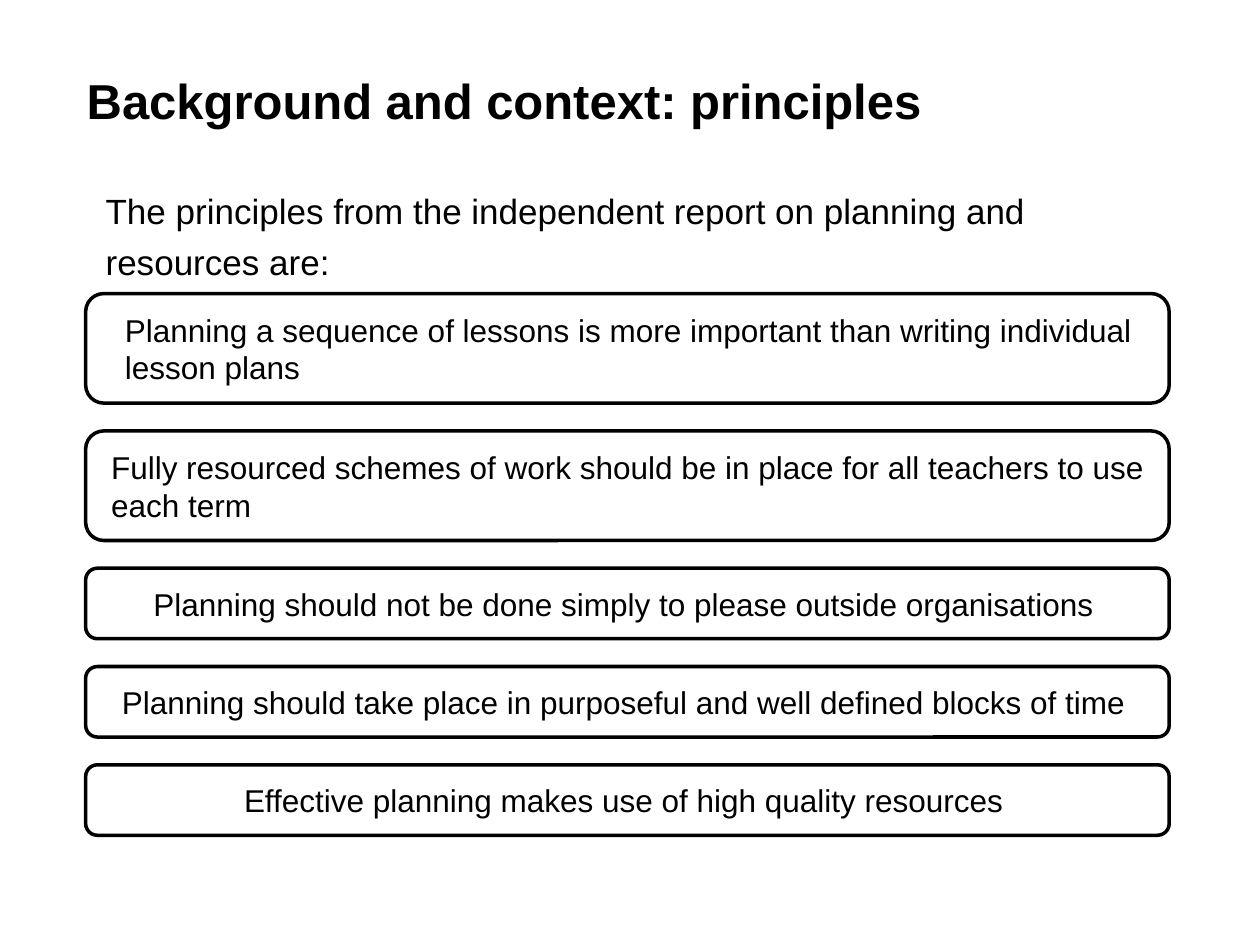
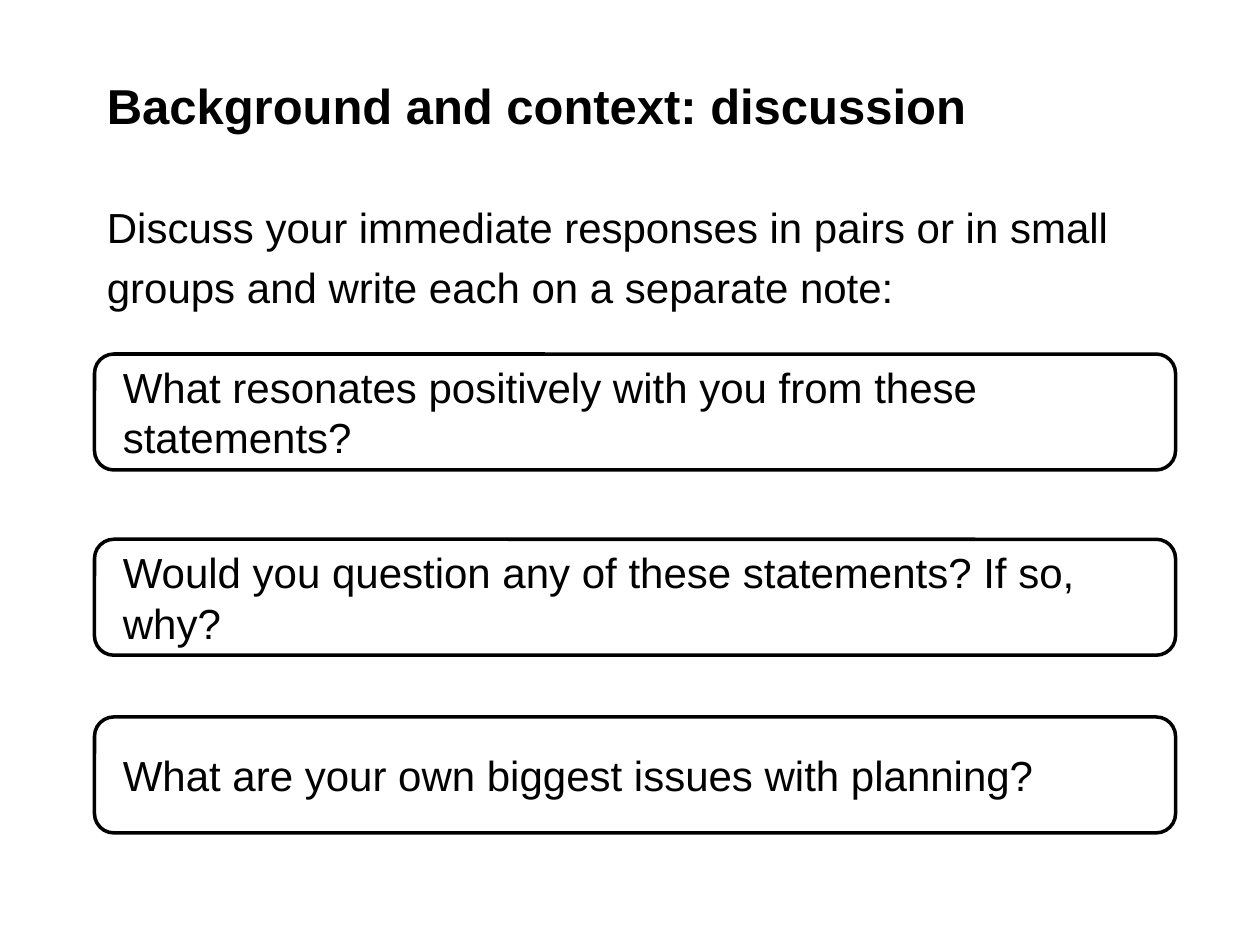
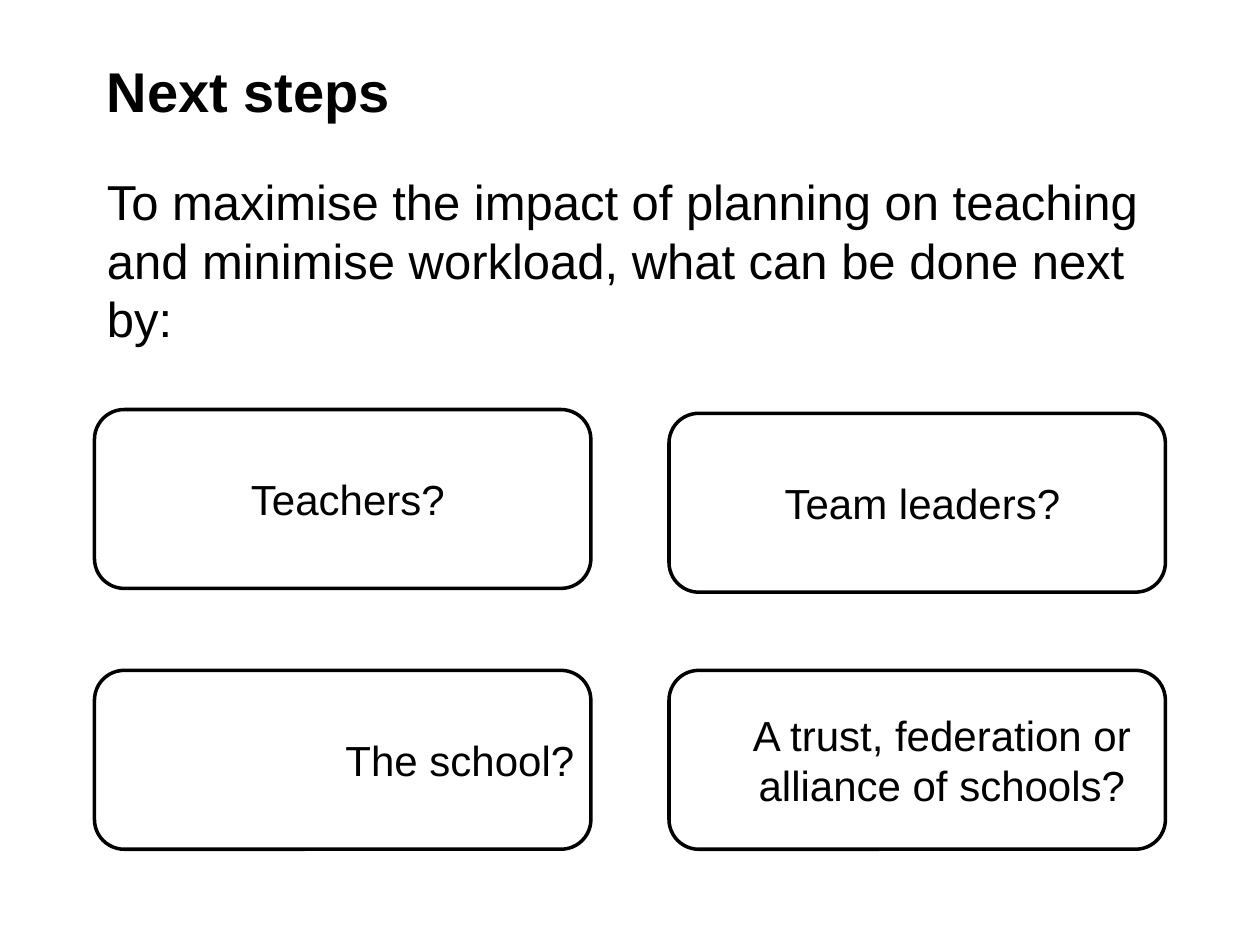
from pptx import Presentation
from pptx.dml.color import RGBColor
from pptx.enum.shapes import MSO_SHAPE
from pptx.enum.text import MSO_ANCHOR, PP_ALIGN
from pptx.util import Inches, Pt

BLACK = RGBColor(0, 0, 0)
FONT = "Arial"
ROUND = MSO_SHAPE.ROUNDED_RECTANGLE
TOP, MIDDLE = MSO_ANCHOR.TOP, MSO_ANCHOR.MIDDLE
LEFT, CENTER = PP_ALIGN.LEFT, PP_ALIGN.CENTER
WIDE = 8.5
INSET = 0.1

# Heading and lead text: (wording, left, top, height, size)
PRINCIPLES_HEAD = ("Background and context: principles", 0.59, 0.44, 0.71, 28)
PRINCIPLES_LEAD = ("The principles from the independent report on planning and "
                   "resources are:", 0.74, 1.39, 0.94, 20)
TALK_HEAD = ("Background and context: discussion", 0.75, 0.36, 0.94, 28)
TALK_LEAD = ("Discuss your immediate responses in pairs or in small groups and "
             "write each on a separate note:", 0.75, 1.47, 1.26, 24)
STEPS_HEAD = ("Next steps", 0.75, 0.36, 0.71, 32)
STEPS_LEAD = ("To maximise the impact of planning on teaching and minimise "
              "workload, what can be done next by:", 0.75, 1.31, 1.57, 28)

# Principle, box height, left inset
PRINCIPLES = [
    ("Planning a sequence of lessons is more important than writing "
     "individual lesson plans", 0.87, 0.27),
    ("Fully resourced schemes of work should be in place for all teachers "
     "to use each term", 0.87, 0.16),
    ("Planning should not be done simply to please outside organisations",
     0.56, 0.51),
    ("Planning should take place in purposeful and well defined blocks of time",
     0.56, 0.26),
    ("Effective planning makes use of high quality resources", 0.56, 1.23),
]

# Question, top
QUESTIONS = [
    ("What resonates positively with you from these statements?", 2.81),
    ("Would you question any of these statements? If so, why?", 4.28),
    ("What are your own biggest issues with planning?", 5.69),
]

# Group, column, top, left inset, right inset
GROUPS = [
    ("Teachers?", 0, 3.25, 0.18, INSET),
    ("Team leaders?", 1, 3.28, 0.18, INSET),
    ("The school?", 0, 5.32, 1.86, 0),
    ("A trust, federation or alliance of schools?", 1, 5.32, 0.49, INSET),
]


def write(shape, text, size, bold=False, anchor=MIDDLE, align=LEFT):
    frame = shape.text_frame
    frame.word_wrap = True
    frame.vertical_anchor = anchor
    para = frame.paragraphs[0]
    para.alignment = align
    run = para.add_run()
    run.text = text
    font = run.font
    font.name, font.size, font.bold = FONT, Pt(size), bold
    font.color.rgb = BLACK
    return para


def add_text(slide, item, **style):
    text, left, top, high, size = item
    box = slide.shapes.add_textbox(*map(Inches, (left, top, WIDE, high)))
    return write(box, text, size, **style)


def add_box(slide, text, place, size, inset, right=INSET, align=LEFT):
    """Add an outlined rounded box; place is left, top, width, height."""
    box = slide.shapes.add_shape(ROUND, *map(Inches, place))
    box.shadow.inherit = False
    box.fill.background()
    box.line.color.rgb = BLACK
    box.line.width = Pt(2)
    box.text_frame.margin_left = Inches(inset)
    box.text_frame.margin_right = Inches(right)
    write(box, text, size, align=align)


def start(deck, head, lead, spacing):
    slide = deck.slides.add_slide(deck.slide_layouts[6])
    add_text(slide, head, bold=True)
    para = add_text(slide, lead, anchor=TOP)
    para.line_spacing = spacing
    para.space_after = Pt(6)
    return slide


def add_principles(deck):
    slide = start(deck, PRINCIPLES_HEAD, PRINCIPLES_LEAD, 1.2)
    top, gap = 2.33, 0.22
    for text, high, inset in PRINCIPLES:
        add_box(slide, text, (0.68, top, 8.6, high), 18, inset)
        top += high + gap


def add_talk(deck):
    slide = start(deck, TALK_HEAD, TALK_LEAD, 1.2)
    for text, top in QUESTIONS:
        add_box(slide, text, (0.75, top, 8.58, 0.92), 24, 0.18)


def add_steps(deck):
    slide = start(deck, STEPS_HEAD, STEPS_LEAD, 1.0)
    for text, col, top, inset, right in GROUPS:
        left = 0.75 + col * 4.56
        add_box(slide, text, (left, top, 3.94, 1.42), 24, inset, right, CENTER)


def main():
    deck = Presentation()
    deck.slide_width, deck.slide_height = Inches(10), Inches(7.5)
    add_principles(deck)
    add_talk(deck)
    add_steps(deck)
    deck.save("out.pptx")


if __name__ == "__main__":
    main()
